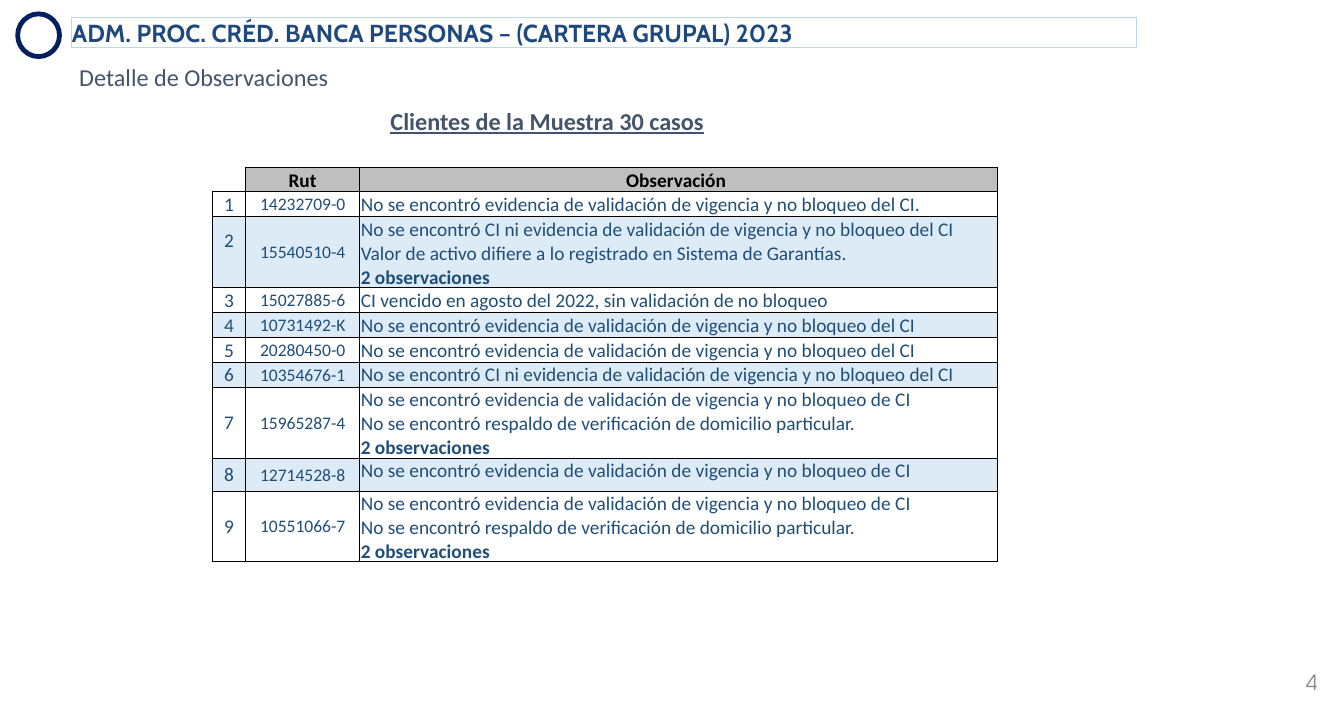
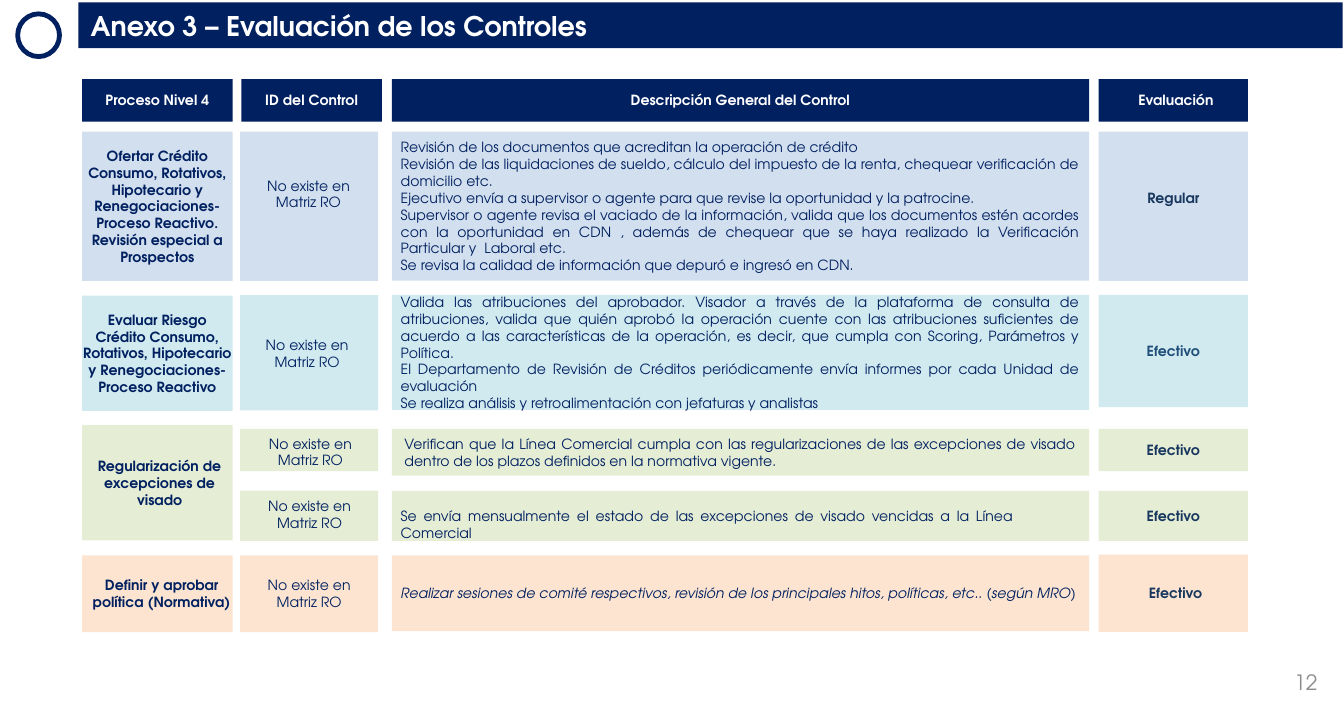
import dataclasses

import lxml.etree
import pptx
import pptx.dml.color
import pptx.enum.shapes
import pptx.enum.text
import pptx.oxml.ns
import pptx.util

Pt = pptx.util.Pt
RGBColor = pptx.dml.color.RGBColor
PRESET = pptx.enum.shapes.MSO_SHAPE
ALIGN = pptx.enum.text.PP_ALIGN
ANCHOR = pptx.enum.text.MSO_ANCHOR
qn = pptx.oxml.ns.qn

NAVY = RGBColor(0x00, 0x20, 0x60)
TITLE_BLUE = RGBColor(0x1F, 0x49, 0x7D)
TABLE_BLUE = RGBColor(0x1F, 0x4E, 0x79)
RATING_BLUE = RGBColor(0x17, 0x37, 0x5E)
SLATE = RGBColor(0x44, 0x54, 0x6A)
PALE_BLUE = RGBColor(0xBD, 0xD7, 0xEE)
BAND_BLUE = RGBColor(0xDD, 0xEB, 0xF7)
HEADER_GREY = RGBColor(0xBF, 0xBF, 0xBF)
PAGE_GREY = RGBColor(0x8C, 0x8C, 0x8C)
BLACK = RGBColor(0x00, 0x00, 0x00)
WHITE = RGBColor(0xFF, 0xFF, 0xFF)
OFFER_BLUE = RGBColor(0x4F, 0x81, 0xBD)
RISK_TEAL = RGBColor(0x4B, 0xAC, 0xC6)
EXCEPTION_GREEN = RGBColor(0x9B, 0xBB, 0x59)
POLICY_ORANGE = RGBColor(0xF7, 0x96, 0x46)


@dataclasses.dataclass(frozen=True)
class Style:
    font: str
    size: float
    color: RGBColor
    bold: bool = False
    italic: bool = False
    underline: bool = False


GEOMETRIC = "TeX Gyre Adventor"
PAGE = Style(GEOMETRIC, 12, PAGE_GREY)
BANNER = Style(GEOMETRIC, 15.4, WHITE, bold=True)
HEADING = Style(GEOMETRIC, 8, WHITE, bold=True)
BODY = Style(GEOMETRIC, 8, NAVY)
PROCESS = dataclasses.replace(BODY, bold=True)
EMPHASIS = dataclasses.replace(BODY, italic=True)
RATING = Style(GEOMETRIC, 8, RATING_BLUE, bold=True)
TITLE = Style("Cabin", 14, TITLE_BLUE, bold=True)
SUBTITLE = Style("Calibri", 13.8, SLATE)
CAPTION = dataclasses.replace(SUBTITLE, bold=True, underline=True)
COLUMN = Style("Calibri", 11, BLACK, bold=True)
CELL = Style("Calibri", 11, TABLE_BLUE)
RUT = dataclasses.replace(CELL, size=10)
TOTAL = dataclasses.replace(CELL, bold=True)

DEFAULT_INSETS = (7.2, 3.6, 7.2, 3.6)
NO_INSETS = (0, 0, 0, 0)
TEXT_INSETS = (5, 3, 5, 3)
CELL_INSETS = (0.7, 0.7, 0.7, 0)

NO_EVIDENCE = "No se encontró evidencia de validación de vigencia y no bloqueo de"
NO_CARD = "No se encontró CI ni evidencia de validación de vigencia y no bloqueo del CI"
NO_ADDRESS = "No se encontró respaldo de verificación de domicilio particular."
TWO = "2 observaciones"
OBSERVATIONS = [
    ("14232709-0", [NO_EVIDENCE + "l CI."]),
    ("15540510-4", [NO_CARD,
                    "Valor de activo difiere a lo registrado en Sistema de Garantías.", TWO]),
    ("15027885-6", ["CI vencido en agosto del 2022, sin validación de no bloqueo"]),
    ("10731492-K", [NO_EVIDENCE + "l CI"]),
    ("20280450-0", [NO_EVIDENCE + "l CI"]),
    ("10354676-1", [NO_CARD]),
    ("15965287-4", [NO_EVIDENCE + " CI", NO_ADDRESS, TWO]),
    ("12714528-8", [NO_EVIDENCE + " CI"]),
    ("10551066-7", [NO_EVIDENCE + " CI", NO_ADDRESS, TWO]),
]
TABLE_HEIGHTS = [13.7, 14.2, 40.2, 14.2, 14.2, 14.2, 14.2, 40.4, 18.7, 40.4]

PROCESS_X, PROCESS_W = 46.8, 85.7
ID_X, ID_W = 136.8, 78.6
DETAIL_X, DETAIL_W = 223.2, 397
RATING_X, RATING_W = 625.7, 85
NO_ID = "No existe en Matriz RO"

HEADINGS = [
    ("Proceso Nivel 4", PROCESS_X, PROCESS_W, DEFAULT_INSETS),
    ("ID del Control", ID_X + 0.7, 80, DEFAULT_INSETS),
    ("Descripción General del Control", DETAIL_X, DETAIL_W, DEFAULT_INSETS),
    ("Evaluación", RATING_X, RATING_W, (5.8, 0, 2.9, 0)),
]
PROCESSES = [
    ("Ofertar Crédito Consumo, Rotativos, Hipotecario y Renegociaciones- "
     "Proceso Reactivo. Revisión especial a Prospectos", OFFER_BLUE, 74.9, 85, NO_INSETS),
    ("Evaluar Riesgo Crédito Consumo, Rotativos, Hipotecario y Renegociaciones- "
     "Proceso Reactivo", RISK_TEAL, 168.3, 65.5, NO_INSETS),
    ("Regularización de excepciones de visado", EXCEPTION_GREEN, 242, 65.5, (2.5, 0, 0, 0)),
    ("Definir y aprobar política (Normativa)", POLICY_ORANGE, 316.1, 43.7, (5, 0, 0, 0)),
]
REVIEW_STEPS = [
    "Revisión de los documentos que acreditan la operación de crédito",
    "Revisión de las liquidaciones de sueldo, cálculo del impuesto de la renta, "
    "chequear verificación de domicilio etc.",
    "Ejecutivo envía a supervisor o agente para que revise la oportunidad y la patrocine.",
    "Supervisor o agente revisa el vaciado de la información, valida que los documentos "
    "estén acordes con la oportunidad en CDN , además de chequear que se haya realizado "
    "la Verificación Particular y  Laboral etc.",
    "Se revisa la calidad de información que depuró e ingresó en CDN.",
]
RISK_STEPS = [
    "Valida las atribuciones del aprobador. Visador a través de la plataforma de consulta "
    "de atribuciones, valida que quién aprobó la operación cuente con las atribuciones "
    "suficientes de acuerdo a las características de la operación, es decir, que cumpla "
    "con Scoring, Parámetros y Política.",
    "El Departamento de Revisión de Créditos periódicamente envía informes por cada "
    "Unidad de evaluación",
    "Se realiza análisis y retroalimentación con jefaturas y analistas",
]
REGULARIZE_STEP = ("Verifican que la Línea Comercial cumpla con las regularizaciones de las "
                   "excepciones de visado dentro de los plazos definidos en la normativa vigente.")
MONTHLY_STEP = ("Se envía mensualmente el estado de las excepciones de visado vencidas "
                "a la Línea Comercial")
POLICY_STEP = ("Realizar sesiones de comité respectivos, revisión de los principales hitos, "
               "políticas, etc.. (según MRO)")


def styled(texts, style):
    return [(text, style) for text in texts]


def write(frame, lines, align=ALIGN.LEFT):
    for index, (text, style) in enumerate(lines):
        paragraph = frame.paragraphs[0] if index == 0 else frame.add_paragraph()
        paragraph.alignment = align
        run = paragraph.add_run()
        run.text = text
        run.font.name = style.font
        run.font.size = Pt(style.size)
        run.font.color.rgb = style.color
        run.font.bold = style.bold
        run.font.italic = style.italic
        run.font.underline = style.underline


def set_insets(holder, insets):
    left, top, right, bottom = insets
    holder.margin_left, holder.margin_top = Pt(left), Pt(top)
    holder.margin_right, holder.margin_bottom = Pt(right), Pt(bottom)


def fill_frame(frame, lines, align, anchor, insets, wrap=True):
    frame.word_wrap = wrap
    frame.vertical_anchor = anchor
    set_insets(frame, insets)
    write(frame, lines, align)


def add_label(slide, box, lines, align=ALIGN.LEFT, anchor=ANCHOR.TOP, wrap=True):
    label = slide.shapes.add_textbox(*map(Pt, box))
    fill_frame(label.text_frame, lines, align, anchor, DEFAULT_INSETS, wrap)


def add_block(slide, box, fill=None, lines=(), align=ALIGN.CENTER, anchor=ANCHOR.MIDDLE,
              insets=NO_INSETS, preset=PRESET.RECTANGLE, line=None, alpha=None):
    block = slide.shapes.add_shape(preset, *map(Pt, box))
    block.shadow.inherit = False
    if fill is None:
        block.fill.background()
    else:
        block.fill.solid()
        block.fill.fore_color.rgb = fill
    if alpha is not None:
        tone = block.fill._xPr.find(qn("a:solidFill"))[0]
        lxml.etree.SubElement(tone, qn("a:alpha"), val=str(alpha * 1000))
    if line is None:
        block.line.fill.background()
    else:
        block.line.color.rgb, block.line.width = line[0], Pt(line[1])
    fill_frame(block.text_frame, lines, align, anchor, insets)


def add_tint(slide, box, accent, lines=(), **options):
    add_block(slide, box, accent, lines, alpha=25, **options)


def add_page(deck, number):
    slide = deck.slides.add_slide(deck.slide_layouts[6])
    add_block(slide, (10.1, 7.9, 23.8, 24.3), preset=PRESET.OVAL, line=(NAVY, 2.75))
    add_label(slide, (716.4, 377.3, 41, 21.6), [(number, PAGE)], ALIGN.RIGHT, ANCHOR.MIDDLE)
    return slide


def set_borders(cell, sides):
    properties = cell._tc.get_or_add_tcPr()
    for side in sides:
        border = lxml.etree.SubElement(properties, qn("a:ln" + side), w=str(Pt(0.5)))
        solid = lxml.etree.SubElement(border, qn("a:solidFill"))
        lxml.etree.SubElement(solid, qn("a:srgbClr"), val=str(BLACK))


def fill_cell(cell, lines, fill=None, align=ALIGN.CENTER, anchor=ANCHOR.MIDDLE, sides="LRTB"):
    set_borders(cell, sides)
    set_insets(cell, CELL_INSETS)
    cell.vertical_anchor = anchor
    if fill is None:
        cell.fill.background()
    else:
        cell.fill.solid()
        cell.fill.fore_color.rgb = fill
    write(cell.text_frame, lines, align)


def add_observations(slide):
    widths = (18.8, 65, 363)
    frame = slide.shapes.add_table(len(TABLE_HEIGHTS), len(widths), Pt(121), Pt(95.2),
                                   Pt(sum(widths)), Pt(sum(TABLE_HEIGHTS)))
    table = frame.table
    table.first_row = table.horz_banding = False
    for column, width in zip(table.columns, widths):
        column.width = Pt(width)
    for row, height in zip(table.rows, TABLE_HEIGHTS):
        row.height = Pt(height)
    corner = table.cell(0, 0)
    fill_cell(corner, [], sides="RB")
    lxml.etree.SubElement(corner.text_frame.paragraphs[0]._p, qn("a:endParaRPr"), sz="1000")
    for column, heading in enumerate(("Rut", "Observación "), 1):
        fill_cell(table.cell(0, column), [(heading, COLUMN)], HEADER_GREY)
    for number, (rut, notes) in enumerate(OBSERVATIONS, 1):
        band = BAND_BLUE if number % 2 == 0 else None
        fill_cell(table.cell(number, 0), [(str(number), CELL)], band)
        fill_cell(table.cell(number, 1), [(rut, RUT)], band)
        lines = [(note, TOTAL if note == TWO else CELL) for note in notes]
        fill_cell(table.cell(number, 2), lines, band, ALIGN.JUSTIFY, ANCHOR.TOP)
    table.cell(2, 0).margin_bottom = Pt(14)


def build_observations(deck):
    slide = add_page(deck, "4")
    add_block(slide, (41, 10.2, 606.4, 17), None,
              [("ADM. PROC. CRÉD. BANCA PERSONAS – (CARTERA GRUPAL) 2023", TITLE)],
              ALIGN.LEFT, ANCHOR.TOP, line=(PALE_BLUE, 0.5))
    add_observations(slide)
    add_label(slide, (215.3, 57, 256.3, 41), [("Clientes de la Muestra 30 casos", CAPTION)])
    add_label(slide, (38, 31.7, 157.7, 23.8), [("Detalle de Observaciones", SUBTITLE)],
              wrap=False)


def build_controls(deck):
    slide = add_page(deck, "12")
    add_block(slide, (44.6, 1.4, 720, 26), NAVY,
              [("Anexo 3 – Evaluación de los Controles", BANNER)], ALIGN.LEFT,
              insets=DEFAULT_INSETS)
    for heading, left, width, insets in HEADINGS:
        add_block(slide, (left, 45, width, 24.2), NAVY, [(heading, HEADING)], insets=insets)
    for name, accent, top, height, insets in PROCESSES:
        add_tint(slide, (PROCESS_X, top, PROCESS_W, height), accent, [(name, PROCESS)],
                 insets=insets)

    for accent, top, height, label_x, label_top in (
            (OFFER_BLUE, 74.9, 85, 136.4, 97.2),
            (RISK_TEAL, 168, 65.5, 135.6, 187.9),
            (EXCEPTION_GREEN, 244.1, 24, 137.5, 244.1),
            (EXCEPTION_GREEN, 279.2, 28.6, 137, 279.4)):
        add_tint(slide, (ID_X, top, ID_W, height), accent)
        add_label(slide, (label_x, label_top, ID_W, 26.6), [(NO_ID, BODY)], ALIGN.CENTER)
    add_tint(slide, (ID_X, 316.1, ID_W, 43.7), POLICY_ORANGE, [(NO_ID, BODY)],
             insets=TEXT_INSETS)

    for accent, top, height, lines, insets in (
            (OFFER_BLUE, 75, 84.8, styled(REVIEW_STEPS, BODY), TEXT_INSETS),
            (RISK_TEAL, 167.8, 65.5, styled(RISK_STEPS, BODY), TEXT_INSETS),
            (EXCEPTION_GREEN, 244.1, 26.6, [(REGULARIZE_STEP, BODY)], DEFAULT_INSETS),
            (EXCEPTION_GREEN, 279.4, 28.4, [], NO_INSETS),
            (POLICY_ORANGE, 316.1, 43.2, [(POLICY_STEP, EMPHASIS)], TEXT_INSETS)):
        add_tint(slide, (DETAIL_X, top, DETAIL_W, height), accent, lines,
                 align=ALIGN.JUSTIFY, insets=insets)
    add_label(slide, (221, 285.1, 363.6, 26.6), [(MONTHLY_STEP, BODY)], ALIGN.JUSTIFY)

    for accent, top, height, rating, color, insets in (
            (OFFER_BLUE, 74.9, 85, "Regular", RATING_BLUE, (0, 0, 0, 9.6)),
            (RISK_TEAL, 167.8, 64, "Efectivo", TABLE_BLUE, NO_INSETS),
            (EXCEPTION_GREEN, 244.1, 24, "Efectivo", RATING_BLUE, NO_INSETS),
            (EXCEPTION_GREEN, 279.4, 28.4, "Efectivo", RATING_BLUE, NO_INSETS),
            (POLICY_ORANGE, 315.7, 43.9, "Efectivo", RATING_BLUE, (2.5, 0, 0, 0))):
        add_tint(slide, (RATING_X, top, RATING_W, height), accent,
                 [(rating, dataclasses.replace(RATING, color=color))], insets=insets)


def main():
    deck = pptx.Presentation()
    deck.slide_width, deck.slide_height = Pt(765.36), Pt(404.64)
    build_observations(deck)
    build_controls(deck)
    deck.save("out.pptx")


if __name__ == "__main__":
    main()
